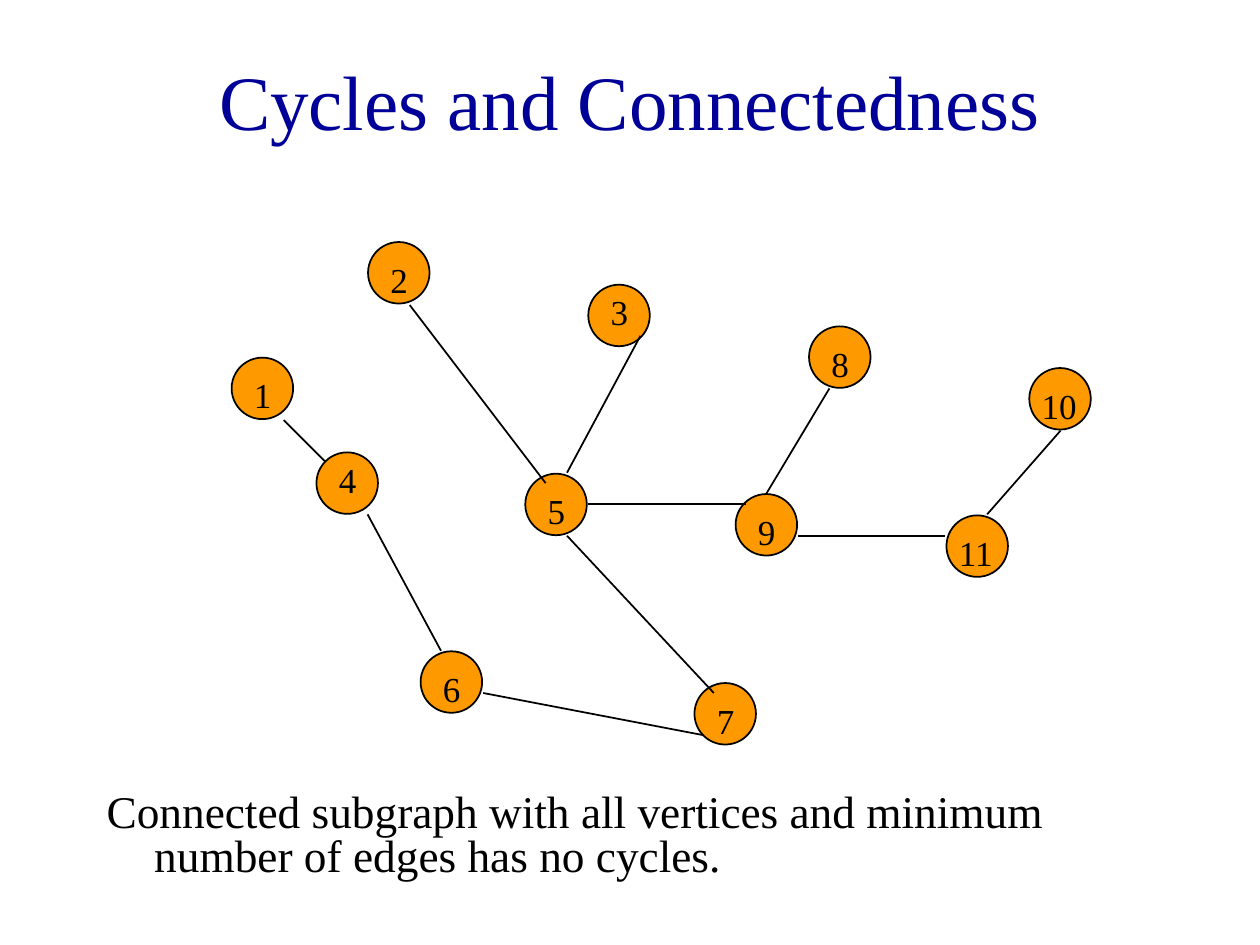
from dataclasses import dataclass

from pptx import Presentation
from pptx.dml.color import RGBColor
from pptx.enum.shapes import MSO_CONNECTOR as CONN, MSO_SHAPE as SHAPE
from pptx.enum.text import MSO_ANCHOR as ANCHOR, PP_ALIGN as ALIGN
from pptx.oxml.ns import qn
from pptx.util import Cm, Pt
from lxml.etree import SubElement


@dataclass(frozen=True)
class Theme:
    font: str = "Times New Roman"
    ink: RGBColor = RGBColor(0, 0, 0)
    heading: RGBColor = RGBColor(0, 0, 0x99)
    vertex: RGBColor = RGBColor(0xFF, 0x99, 0)
    title_size: float = 44
    body_size: float = 25.9
    label_size: float = 20
    line_width: float = 1


THEME = Theme()
TITLE = "Cycles and Connectedness"
BODY = ("Connected subgraph with all vertices and minimum "
        "number of edges has no cycles.")
DIAMETER = 1.24
LABEL_SHIFT = 0.2
LABEL_HEIGHT = 1.09
HANGING = 0.96

VERTICES = {
    1: (4.67, 7.21),
    2: (7.42, 4.88),
    3: (11.86, 5.74),
    8: (16.31, 6.58),
    10: (20.75, 7.42),
    4: (6.38, 9.12),
    5: (10.59, 9.55),
    9: (14.83, 9.96),
    11: (19.08, 10.39),
    6: (8.48, 13.13),
    7: (14, 13.77),
}
RAISED_LABELS = (3, 4)
LABEL_WIDTHS = {10: 1.27, 11: 2.12}

EDGES = {
    (2, 5): (8.26, 6.15, 11, 9.74),
    (1, 4): (5.72, 8.47, 6.56, 9.31),
    (4, 6): (7.41, 10.37, 8.89, 13.12),
    (6, 7): (9.74, 13.97, 14.18, 14.82),
    (3, 5): (12.91, 6.77, 11.43, 9.53),
    (5, 7): (11.43, 10.8, 14.39, 13.97),
    (8, 9): (16.72, 7.83, 15.45, 9.95),
    (11, 10): (19.9, 10.37, 21.38, 8.68),
    (5, 9): (11.85, 10.16, 15.03, 10.16),
    (9, 11): (16.09, 10.8, 19.05, 10.8),
}


def add_text(s, text, box, size, color=THEME.ink):
    """Add a wrapped one-paragraph text box and return its frame."""
    tf = s.shapes.add_textbox(*map(Cm, box)).text_frame
    tf.word_wrap = True
    tf.text = text
    font = tf.paragraphs[0].runs[0].font
    font.name, font.size, font.color.rgb = THEME.font, Pt(size), color
    return tf


def style_line(line):
    """Apply the common outline."""
    line.color.rgb = THEME.ink
    line.width = Pt(THEME.line_width)


def add_vertex(s, left, top):
    """Add a vertex circle."""
    sp = s.shapes.add_shape(SHAPE.OVAL, *map(Cm, (left, top, DIAMETER, DIAMETER)))
    sp.shadow.inherit = False
    sp.fill.solid()
    sp.fill.fore_color.rgb = THEME.vertex
    style_line(sp.line)


def add_edge(s, ends):
    """Add a straight edge without a shadow."""
    edge = s.shapes.add_connector(CONN.STRAIGHT, *map(Cm, ends))
    style_line(edge.line)
    SubElement(edge._element.spPr, qn("a:effectLst"))


def add_label(s, number, left, top):
    """Add the number of a vertex."""
    dx = 0 if number in LABEL_WIDTHS else LABEL_SHIFT
    dy = 0 if number in RAISED_LABELS else LABEL_SHIFT
    width = LABEL_WIDTHS.get(number, 0.64)
    add_text(s, str(number), (left + dx, top + dy, width, LABEL_HEIGHT),
             THEME.label_size)


def main():
    """Build the slide and save it."""
    prs = Presentation()
    prs.slide_width, prs.slide_height = Cm(25.4), Cm(19.05)
    s = prs.slides.add_slide(prs.slide_layouts[6])

    tf = add_text(s, TITLE, (1.9, 0.43, 21.6, 3.18), THEME.title_size, THEME.heading)
    tf.vertical_anchor = ANCHOR.MIDDLE
    tf.paragraphs[0].alignment = ALIGN.CENTER

    for place in VERTICES.values():
        add_vertex(s, *place)
    for ends in EDGES.values():
        add_edge(s, ends)
    for number, place in VERTICES.items():
        add_label(s, number, *place)

    tf = add_text(s, BODY, (1.9, 15.88, 21.6, 2.12), THEME.body_size)
    p = tf.paragraphs[0]
    p.line_spacing = 0.8
    pPr = p._p.get_or_add_pPr()
    pPr.set("marL", str(Cm(HANGING)))
    pPr.set("indent", str(-Cm(HANGING)))

    prs.save("out.pptx")


if __name__ == "__main__":
    main()
